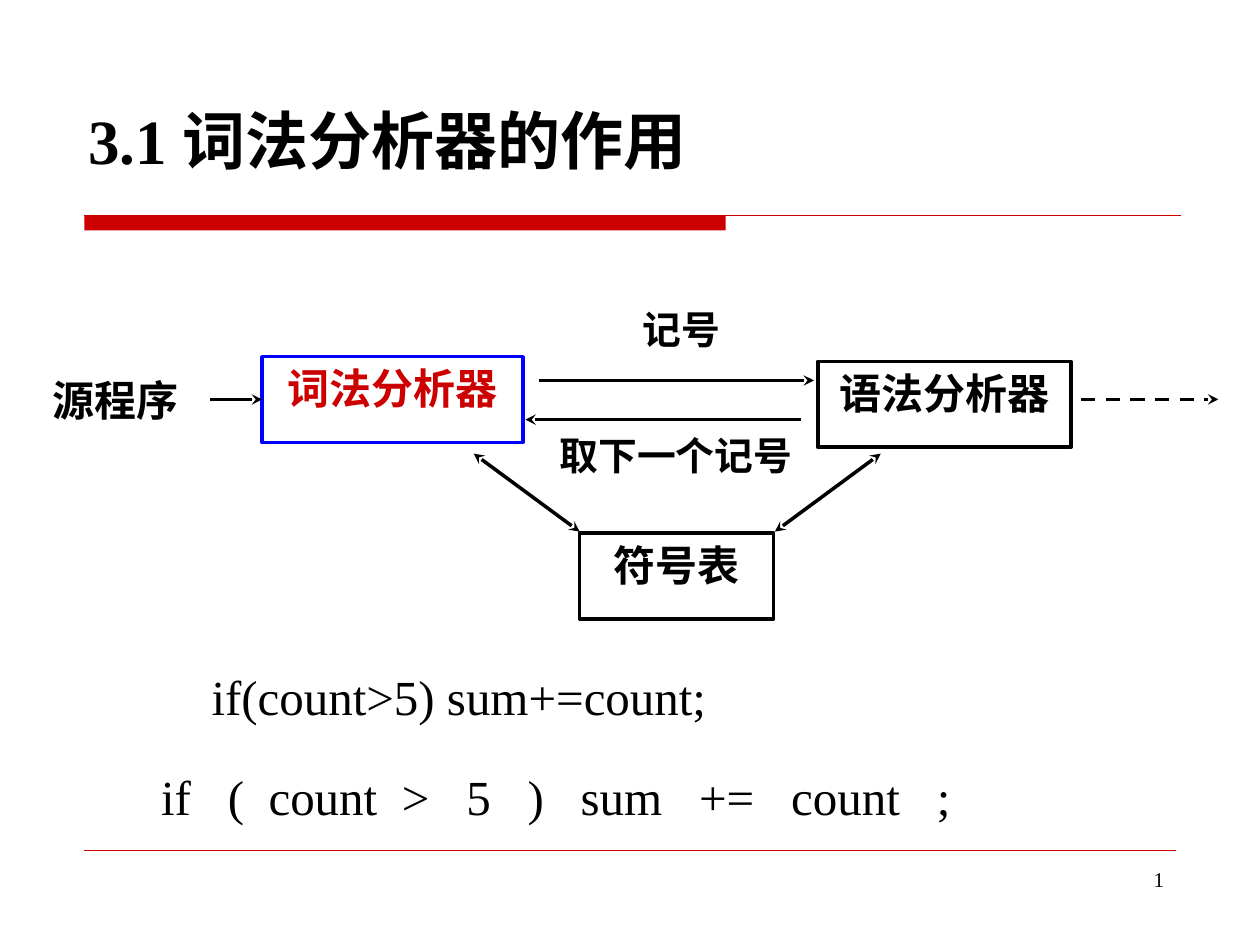
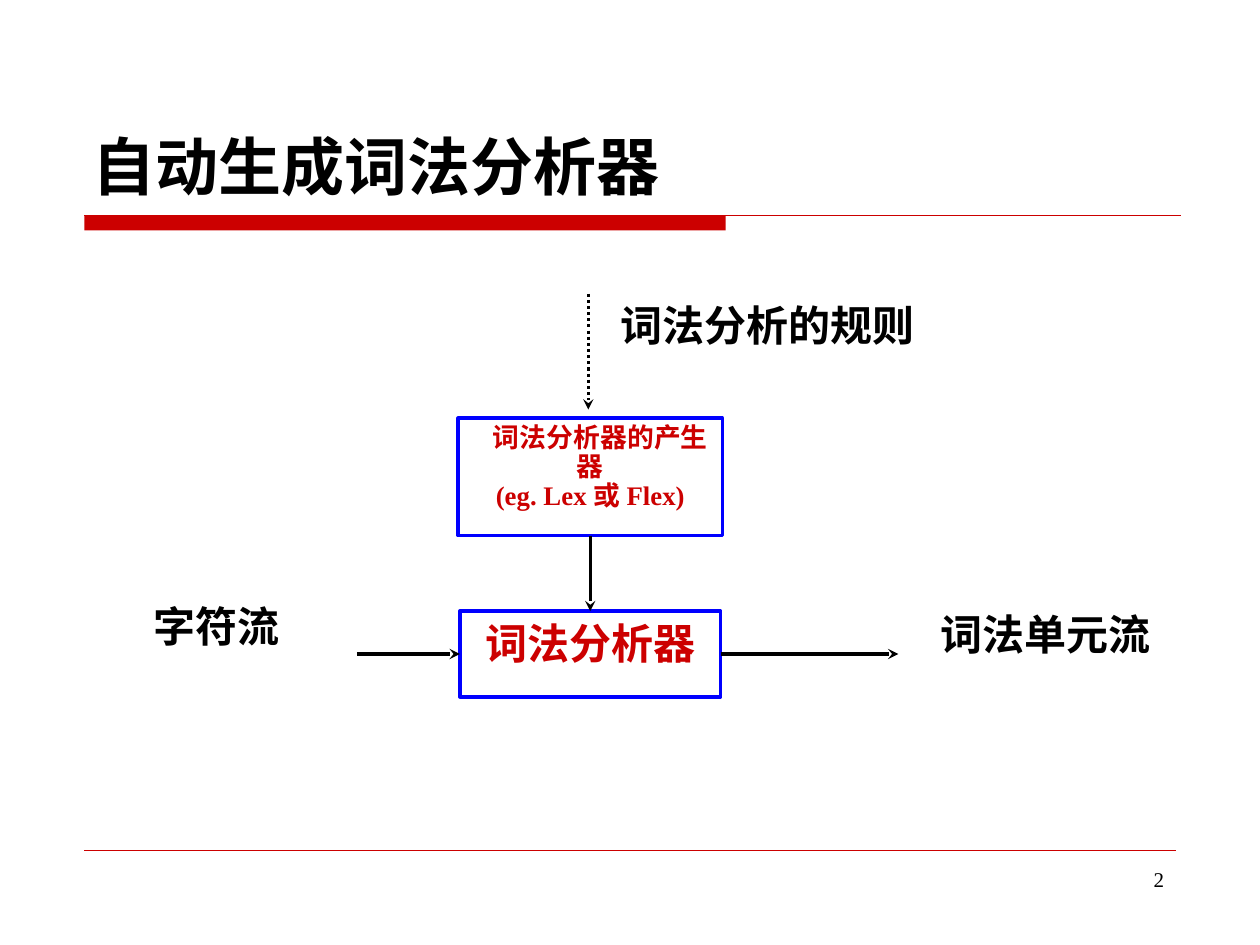
from lxml import etree
from pptx import Presentation
from pptx.dml.color import RGBColor
from pptx.enum.dml import MSO_LINE
from pptx.enum.shapes import MSO_CONNECTOR, MSO_SHAPE
from pptx.enum.text import MSO_ANCHOR, MSO_AUTO_SIZE, PP_ALIGN
from pptx.oxml.ns import qn
from pptx.util import Pt

RED = RGBColor(0xCC, 0x00, 0x00)
BLUE = RGBColor(0x00, 0x00, 0xFF)
BLACK = RGBColor(0x00, 0x00, 0x00)
FONT = "Times New Roman"
CENTER, LEFT, RIGHT = PP_ALIGN.CENTER, PP_ALIGN.LEFT, PP_ALIGN.RIGHT


def write(sp, text, size, color=BLACK, bold=True, align=CENTER,
          anchor=MSO_ANCHOR.TOP, spacing=None):
    tf = sp.text_frame
    tf.word_wrap = True
    tf.auto_size = MSO_AUTO_SIZE.NONE
    tf.vertical_anchor = anchor
    for i, part in enumerate(text.split("\n")):
        p = tf.add_paragraph() if i else tf.paragraphs[0]
        p.alignment = align
        p.line_spacing = spacing
        r = p.add_run()
        r.text = part
        r.font.name = FONT
        r.font.size = Pt(size)
        r.font.bold = bold
        r.font.color.rgb = color
    return tf.paragraphs[0]


def draw_line(s, x1, y1, x2, y2, width=2, color=BLACK, heads=("tailEnd",), dash=None):
    cxn = s.shapes.add_connector(MSO_CONNECTOR.STRAIGHT, Pt(x1), Pt(y1), Pt(x2), Pt(y2))
    cxn.line.color.rgb = color
    cxn.line.width = Pt(width)
    if dash:
        cxn.line.dash_style = dash
    ln = cxn.line._get_or_add_ln()
    for head in heads:
        etree.SubElement(ln, qn("a:" + head), type="stealth")
    etree.SubElement(cxn._element.spPr, qn("a:effectLst"))
    return cxn


prs = Presentation()
prs.slide_width, prs.slide_height = Pt(720), Pt(540)

titles = [
    ("3.1 词法分析器的作用", (43.2, 34.6, 612, 90), MSO_ANCHOR.MIDDLE),
    ("自动生成词法分析器", (45.4, 23.8, 630, 95.8), MSO_ANCHOR.BOTTOM),
]
boxes = [
    [("词法分析器", (149.8, 203.8, 149, 49), 24, RED, BLUE, None),
     ("语法分析器", (467.3, 206.6, 144.7, 49), 24, BLACK, BLACK, None),
     ("符号表", (331.2, 304.6, 110.9, 49), 24, BLACK, BLACK, None)],
    [("词法分析器", (262.8, 349.2, 149, 49), 24, RED, BLUE, None),
     ("词法分析器的产生器\n(eg. Lex 或 Flex)", (261.8, 239, 151, 67), 15.3, RED, BLUE, 0.9)],
]
labels = [
    [("记号", (324, 174.2, 131, 36), 22.2, 0.9),
     ("取下一个记号", (306, 246.2, 160.6, 36), 22.2, 0.9),
     ("源程序", (18, 210.2, 95.8, 49.7), 24, None)],
    [("字符流", (42.5, 339.8, 162, 59.8), 24, None),
     ("词法单元流", (516.2, 344.2, 162, 59.8), 24, None),
     ("词法分析的规则", (342, 167.8, 193.7, 59.8), 24, None)],
]

slides, drawn = [], []
for number, (title, place, anchor) in enumerate(titles):
    s = prs.slides.add_slide(prs.slide_layouts[5])
    slides.append(s)

    bar = s.shapes.add_shape(MSO_SHAPE.RECTANGLE, Pt(48.2), Pt(123.1), Pt(366.5), Pt(8.6))
    bar.shadow.inherit = False
    bar.fill.solid()
    bar.fill.fore_color.rgb = RED
    bar.line.fill.background()
    draw_line(s, 48.2, 123.1, 674.6, 123.1, 0.75, RED, ())
    draw_line(s, 48.2, 486, 672, 486, 0.25, RED, ())

    sp = s.shapes.add_textbox(Pt(516.2), Pt(491.8), Pt(156.2), Pt(37.4))
    p = write(sp, str(number + 3), 12, bold=False, align=RIGHT)
    field = p.runs[0]._r
    field.set("id", "{B6F15528-21DE-4FAA-801E-634DDDAF4B2B}")
    field.set("type", "slidenum")
    field.tag = qn("a:fld")

    sp = s.shapes.title
    sp.left, sp.top, sp.width, sp.height = map(Pt, place)
    write(sp, title, 36, align=LEFT, anchor=anchor)

    drawn.append([])
    for text, place, size, color, edge, spacing in boxes[number]:
        sp = s.shapes.add_shape(MSO_SHAPE.RECTANGLE, *map(Pt, place))
        sp.shadow.inherit = False
        sp.fill.background()
        sp.line.color.rgb = edge
        sp.line.width = Pt(2)
        write(sp, text, size, color, spacing=spacing)
        drawn[-1].append(sp)
    for text, place, size, spacing in labels[number]:
        write(s.shapes.add_textbox(*map(Pt, place)), text, size, spacing=spacing)

prs_number = slides[0].slide_id
s = slides[0]
lexer = drawn[0][0]
both = ("headEnd", "tailEnd")
draw_line(s, 270.7, 259.2, 331.2, 303.8, heads=both)
draw_line(s, 503.3, 259.2, 442.8, 303.8, heads=both)
draw_line(s, 308.2, 217.4, 465.1, 217.4)
draw_line(s, 457.9, 239.8, 300.2, 239.8)
draw_line(s, 120.2, 228.3, 149.8, 228.3).end_connect(lexer, 1)
draw_line(s, 617.8, 228.2, 696.2, 228.2, dash=MSO_LINE.DASH)

sp = s.shapes.add_textbox(Pt(113.8), Pt(377.3), Pt(303.8), Pt(41))
write(sp, "if(count>5) sum+=count;", 28, bold=False, align=LEFT, anchor=MSO_ANCHOR.BOTTOM)

tokens = ["if", "(", "count", ">", "5", ")", "sum", "+=", "count", ";"]
stops = [38.1, 61.4, 137.6, 174.4, 209.4, 239.7, 307.4, 360, 443.2]
sp = s.shapes.add_textbox(Pt(85), Pt(434.2), Pt(471.6), Pt(41))
tabs = etree.SubElement(sp.text_frame.paragraphs[0]._p.get_or_add_pPr(), qn("a:tabLst"))
for stop in stops:
    etree.SubElement(tabs, qn("a:tab"), pos=str(Pt(stop)), algn="l")
write(sp, "\t".join(tokens), 28, bold=False, align=LEFT, anchor=MSO_ANCHOR.BOTTOM)

s = slides[1]
lexer, generator = drawn[1]
generator.text_frame.paragraphs[0]._p.get_or_add_pPr().set("indent", str(Pt(11.5)))
draw_line(s, 411.8, 373.7, 513.4, 373.7).begin_connect(lexer, 3)
draw_line(s, 204, 373.7, 262.8, 373.7).end_connect(lexer, 1)
draw_line(s, 336.2, 167.8, 336.2, 234, 1.75, dash=MSO_LINE.ROUND_DOT)
cxn = draw_line(s, 337.3, 306, 337.3, 349.2, 1.75)
cxn.begin_connect(generator, 2)
cxn.end_connect(lexer, 0)

prs.save("out.pptx")
